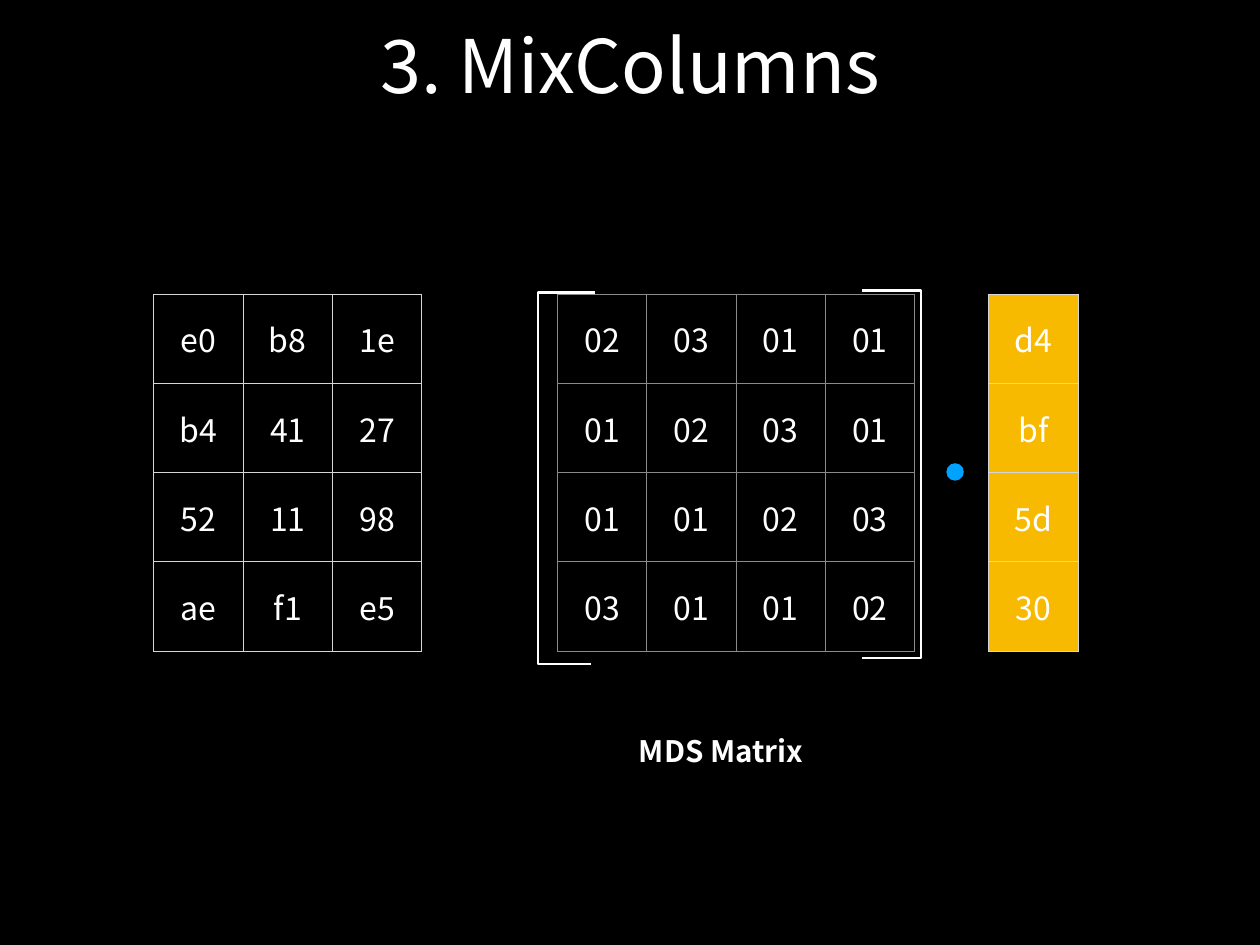
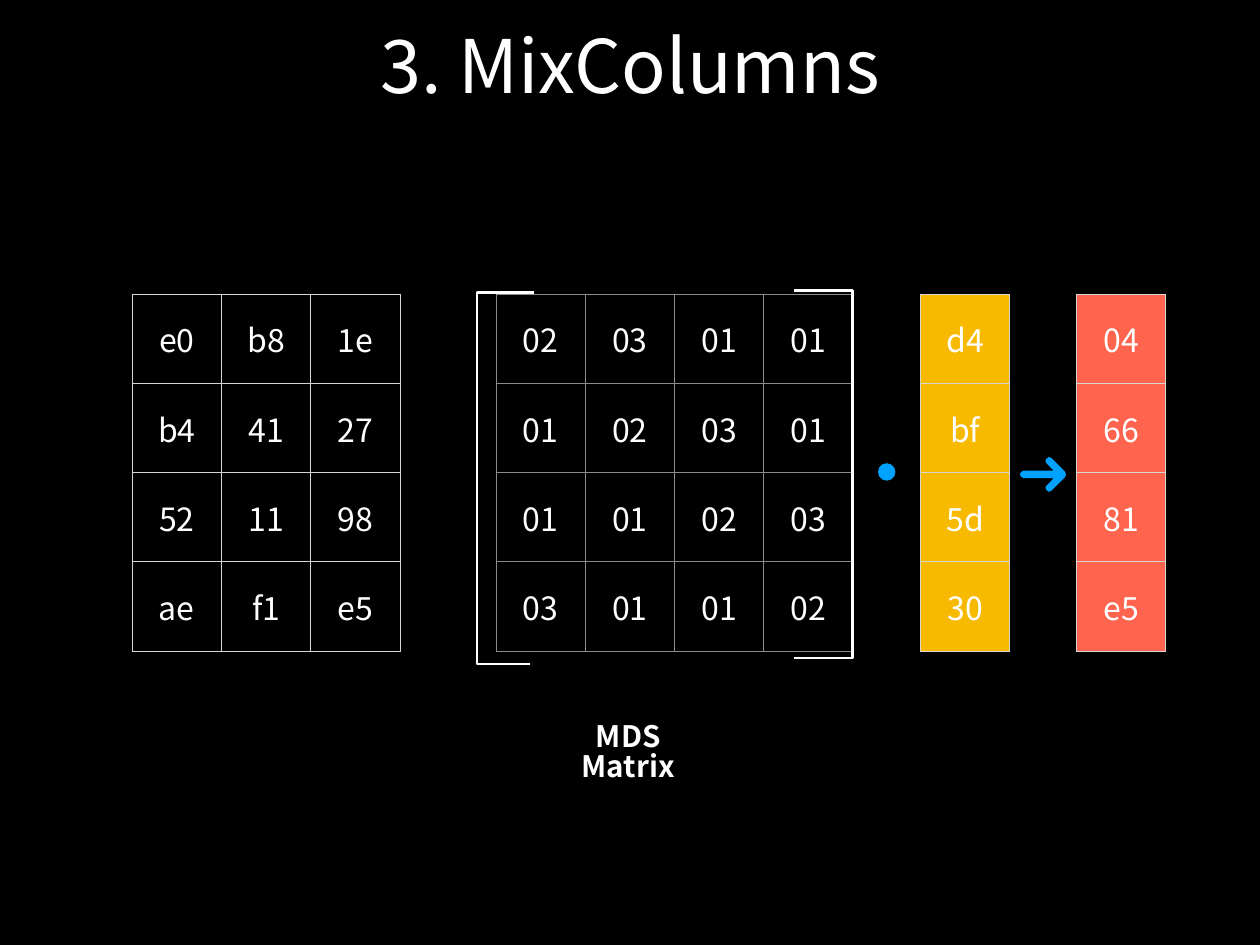
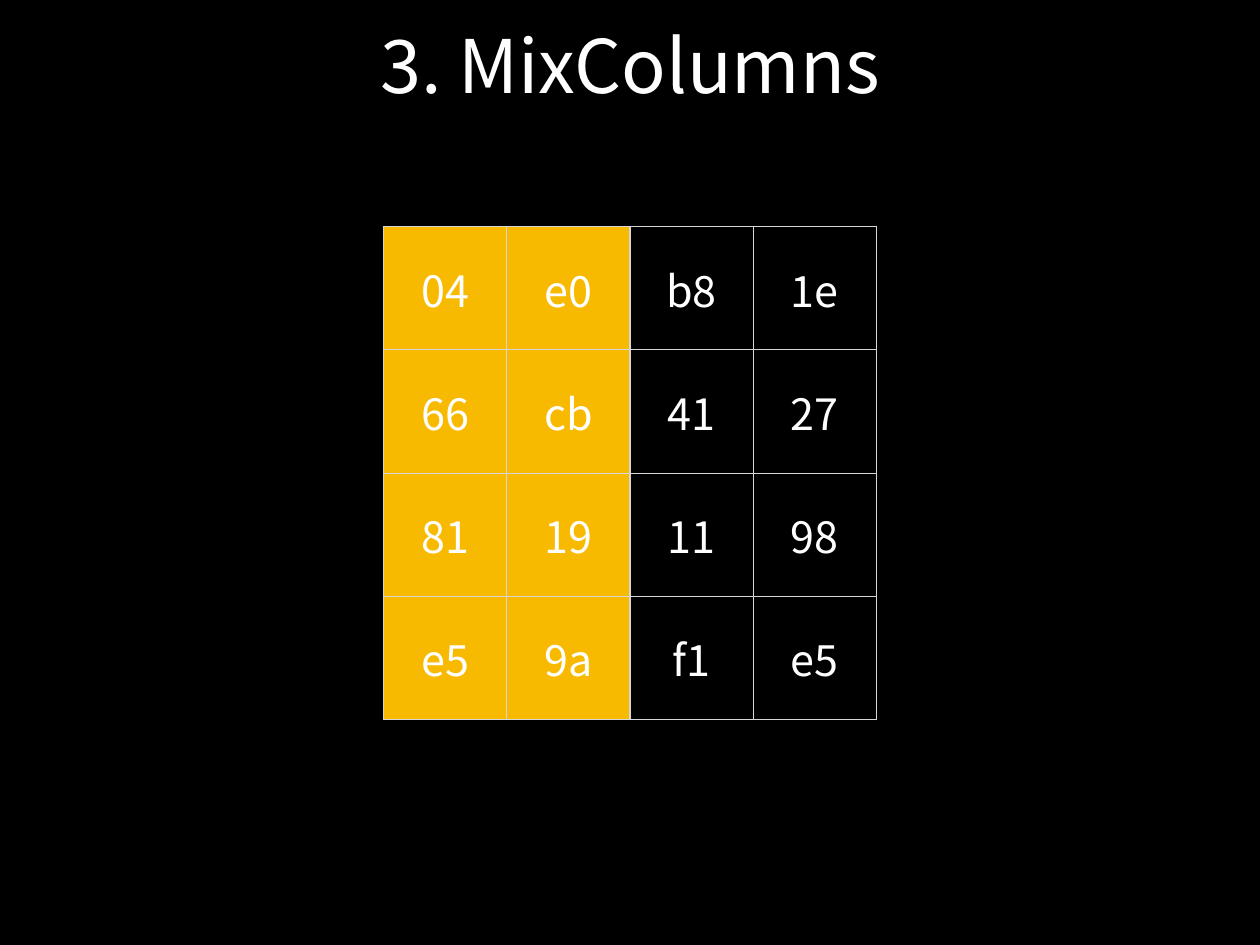
"""Build three slides that explain the MixColumns step of AES."""
from lxml import etree
from pptx import Presentation
from pptx import util as u
from pptx.dml.color import RGBColor
from pptx.enum import shapes, text
from pptx.oxml.ns import qn

COLORS = {"black": "000000", "white": "FFFFFF", "border": "D6D6D6", "faint": "8A8A8A",
          "gold": "F8BA00", "coral": "FF644E", "blue": "00A2FF"}
FONT = "Noto Sans CJK KR"
TITLE = "3. MixColumns"
CELL = 2.56
GRID_TOP = 8.43

STATE = ["e0 b8 1e", "b4 41 27", "52 11 98", "ae f1 e5"]
MATRIX = ["02 03 01 01", "01 02 03 01", "01 01 02 03", "03 01 01 02"]
COLUMN = ["d4", "bf", "5d", "30"]
RESULT = ["04", "66", "81", "e5"]
MIXED = ["04 e0 b8 1e", "66 cb 41 27", "81 19 11 98", "e5 9a f1 e5"]

ARROW_HALF = [(0, 0), (0.03, 0.07), (0.11, 0.11), (0.97, 0.11), (0.76, 0.32), (0.73, 0.38),
              (0.76, 0.45), (0.83, 0.5), (0.91, 0.46), (1.29, 0.08), (1.32, 0)]


def write(holder, content, size, bold=False, spacing=None):
    """Write centred white text into a table cell or a text frame."""
    frame = getattr(holder, "text_frame", holder)
    holder.vertical_anchor = text.MSO_ANCHOR.MIDDLE
    for side in ("left", "right", "top", "bottom"):
        setattr(holder, f"margin_{side}", u.Cm(0.14))
    para = frame.paragraphs[0]
    para.alignment = text.PP_ALIGN.CENTER
    para.line_spacing = spacing
    span = para.add_run()
    span.text = content
    span.font.name = FONT
    span.font.size = u.Pt(size)
    span.font.bold = bold
    span.font.color.rgb = RGBColor.from_string(COLORS["white"])


def add_grid(page, rows, left, top=GRID_TOP, cell_size=CELL, size=26, border="border",
             fill=None, filled=0):
    """Add a table of square cells whose first columns may be filled."""
    values = [row.split() for row in rows]
    width, height = len(values[0]), len(values)
    table = page.shapes.add_table(height, width, u.Cm(left), u.Cm(top),
                                  u.Cm(cell_size * width), u.Cm(cell_size * height)).table
    table.first_row = table.horz_banding = False
    for r, row in enumerate(values):
        for c, value in enumerate(row):
            cell = table.cell(r, c)
            write(cell, value, size)
            if c < filled:
                cell.fill.solid()
                cell.fill.fore_color.rgb = RGBColor.from_string(COLORS[fill])
            else:
                cell.fill.background()
            properties = cell._tc.get_or_add_tcPr()
            for index, edge in enumerate(("lnL", "lnR", "lnT", "lnB")):
                line = etree.Element(qn(f"a:{edge}"), w=str(u.Pt(1)))
                solid = etree.SubElement(line, qn("a:solidFill"))
                etree.SubElement(solid, qn("a:srgbClr"), val=COLORS[border])
                properties.insert(index, line)


deck = Presentation()
deck.slide_width, deck.slide_height = u.Cm(36.12), u.Cm(27.09)
backdrop = deck.slide_master.background.fill
backdrop.solid()
backdrop.fore_color.rgb = RGBColor.from_string(COLORS["black"])

pages = []
for _ in range(3):
    page = deck.slides.add_slide(deck.slide_layouts[6])
    box = page.shapes.add_textbox(u.Cm(2.64), u.Cm(0.89), u.Cm(30.84), u.Cm(2.11))
    box.text_frame.word_wrap = True
    write(box.text_frame, TITLE, 60, spacing=0.95)
    pages.append(page)

product_layouts = [(4.41, 15.98, 28.35, 18.12, 5.1), (3.79, 14.22, 26.39, 16.51, 3)]
for page, layout in zip(pages, product_layouts):
    state_left, matrix_left, column_left, caption_left, caption_width = layout
    add_grid(page, STATE, state_left)
    add_grid(page, COLUMN, column_left, fill="gold", filled=1)
    add_grid(page, MATRIX, matrix_left, border="faint")

    dot = page.shapes.add_shape(shapes.MSO_SHAPE.OVAL, u.Cm(column_left - 1.22), u.Cm(13.28),
                                u.Cm(0.5), u.Cm(0.5))
    dot.shadow.inherit = False
    dot.fill.solid()
    dot.fill.fore_color.rgb = RGBColor.from_string(COLORS["blue"])
    dot.line.fill.background()

    brackets = [(matrix_left - 0.55, 8.38, 19.04, 1.63, 1.52),
                (column_left - 1.95, 8.33, 18.87, -1.68, -1.68)]
    for spine, top, bottom, top_arm, bottom_arm in brackets:
        outline = page.shapes.build_freeform(u.Cm(spine + bottom_arm), u.Cm(bottom))
        corners = [(spine, bottom), (spine, top), (spine + top_arm, top)]
        outline.add_line_segments([(u.Cm(x), u.Cm(y)) for x, y in corners], close=False)
        bracket = outline.convert_to_shape()
        bracket.shadow.inherit = False
        bracket.fill.background()
        bracket.line.color.rgb = RGBColor.from_string(COLORS["white"])
        bracket.line.width = u.Pt(2)

    caption = page.shapes.add_textbox(u.Cm(caption_left), u.Cm(20.93),
                                      u.Cm(caption_width), u.Cm(1.32))
    caption.text_frame.word_wrap = True
    write(caption.text_frame, "MDS Matrix", 24, bold=True, spacing=0.85)

result_page = pages[1]
add_grid(result_page, RESULT, 30.86, fill="coral", filled=1)
contour = [(x, -y) for x, y in ARROW_HALF] + ARROW_HALF[-2:0:-1]
points = [(u.Cm(29.24 + x), u.Cm(13.6 + y)) for x, y in contour]
outline = result_page.shapes.build_freeform(*points[0])
outline.add_line_segments(points[1:], close=True)
arrow = outline.convert_to_shape()
arrow.shadow.inherit = False
arrow.fill.solid()
arrow.fill.fore_color.rgb = RGBColor.from_string(COLORS["blue"])
arrow.line.fill.background()

add_grid(pages[2], MIXED, 11, top=6.5, cell_size=3.53, size=35, fill="gold", filled=2)

deck.save("out.pptx")
